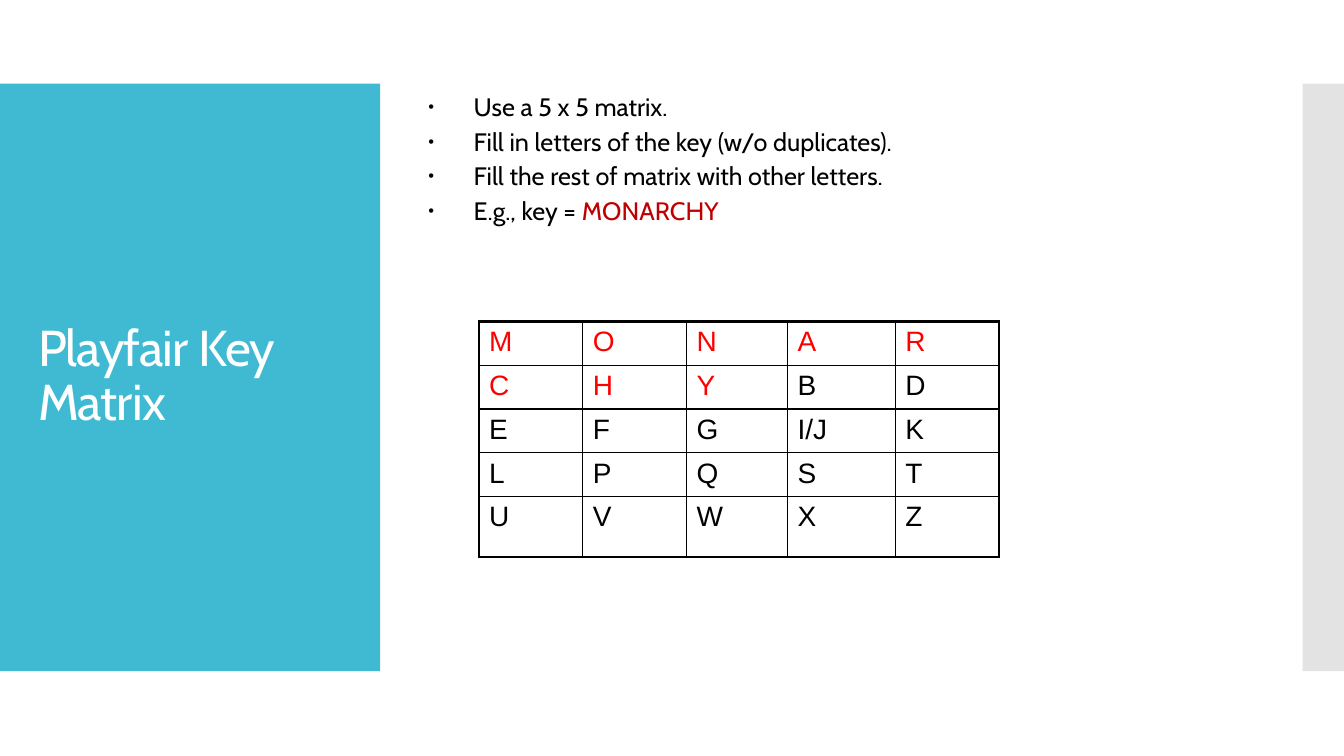
from lxml import etree
from pptx import Presentation
from pptx.dml.color import RGBColor
from pptx.enum import shapes, text
from pptx.oxml import ns
from pptx.util import Inches, Pt

BLACK = RGBColor(0x00, 0x00, 0x00)
WHITE = RGBColor(0xFF, 0xFF, 0xFF)
TEAL = RGBColor(0x40, 0xBA, 0xD2)
PALE_GREY = RGBColor(0xE3, 0xE3, 0xE3)
KEY_RED = RGBColor(0xC0, 0x00, 0x00)
LETTER_RED = RGBColor(0xFF, 0x00, 0x00)

KEY = "MONARCHY"
STEPS = [
    [("Use a 5 x 5 matrix.", BLACK)],
    [("Fill in letters of the key (w/o duplicates).", BLACK)],
    [("Fill the rest of matrix with other letters.", BLACK)],
    [("E.g., key = ", BLACK), (KEY, KEY_RED)],
]
MATRIX = ["M O N A R", "C H Y B D", "E F G I/J K", "L P Q S T", "U V W X Z"]
COLUMN_WIDTHS = [1.03, 1.03, 1, 1.07, 1.03]
ROW_HEIGHTS = [0.43, 0.43, 0.43, 0.43, 0.6]
THIN, THICK = 1, 2.25


def add_child(parent, tag, **attributes):
    return etree.SubElement(parent, ns.qn(tag), attributes)


def add_run(paragraph, words, **font_values):
    run = paragraph.add_run()
    run.text = words
    color = font_values.pop("color")
    for name, value in font_values.items():
        setattr(run.font, name, value)
    run.font.color.rgb = color
    return run


def add_band(slide, box, color):
    band = slide.shapes.add_shape(shapes.MSO_SHAPE.RECTANGLE, *map(Inches, box))
    band.shadow.inherit = False
    band.fill.solid()
    band.fill.fore_color.rgb = color
    band.line.fill.background()


def add_title_panel(slide, box):
    left, top, width, height = box
    add_band(slide, box, TEAL)
    title = slide.shapes.add_textbox(
        Inches(left + 0.28), Inches(top + 0.4),
        Inches(width - 0.55), Inches(height - 0.8)).text_frame
    title.word_wrap = True
    title.vertical_anchor = text.MSO_ANCHOR.MIDDLE
    heading = title.paragraphs[0]
    heading.line_spacing = 0.9
    run = add_run(heading, "Playfair Key Matrix",
                  name="Cabin", size=Pt(36), color=WHITE)
    run.font._element.set("spc", "-60")


def add_steps(slide, box):
    frame = slide.shapes.add_textbox(*map(Inches, box)).text_frame
    frame.word_wrap = True
    for index, pieces in enumerate(STEPS):
        step = frame.add_paragraph() if index else frame.paragraphs[0]
        step.space_before = Pt(3.1)
        properties = step._p.get_or_add_pPr()
        properties.set("marL", str(Inches(0.6)))
        properties.set("indent", str(Inches(-0.45)))
        add_child(properties, "a:buSzPct", val="65000")
        add_child(properties, "a:buFont", typeface="Arial")
        add_child(properties, "a:buChar", char="•")
        for words, color in pieces:
            add_run(step, words, name="Cabin", size=Pt(18), color=color)


def set_borders(cell, widths):
    """Draw black borders; widths maps a side (L, R, T, B) to points."""
    properties = cell._tc.get_or_add_tcPr()
    for side, width in widths.items():
        line = add_child(properties, f"a:ln{side}", w=str(Pt(width)))
        fill = add_child(line, "a:solidFill")
        add_child(fill, "a:srgbClr", val=str(BLACK))


def add_key_matrix(slide, box):
    last = len(MATRIX) - 1
    matrix = slide.shapes.add_table(
        len(MATRIX), len(COLUMN_WIDTHS), *map(Inches, box)).table
    matrix.first_row = matrix.horz_banding = False
    for column, width in zip(matrix.columns, COLUMN_WIDTHS):
        column.width = Inches(width)
    for row, height in zip(matrix.rows, ROW_HEIGHTS):
        row.height = Inches(height)
    for r, letters in enumerate(MATRIX):
        for c, letter in enumerate(letters.split()):
            cell = matrix.cell(r, c)
            outer = {"L": c == 0, "R": c == last, "T": r == 0, "B": r == last}
            set_borders(cell, {side: THICK if edge else THIN
                               for side, edge in outer.items()})
            cell.fill.background()
            add_run(cell.text_frame.paragraphs[0], letter, name="Arial",
                    size=Pt(20), color=LETTER_RED if letter in KEY else BLACK)


def main():
    deck = Presentation()
    deck.slide_width, deck.slide_height = Inches(13.33), Inches(7.5)
    slide = deck.slides.add_slide(deck.slide_layouts[6])
    add_title_panel(slide, (0, 0.83, 3.77, 5.83))
    add_band(slide, (12.92, 0.83, 0.41, 5.83), PALE_GREY)
    add_steps(slide, (4, 0.86, 6.67, 1.49))
    add_key_matrix(slide, (4.75, 3.19, sum(COLUMN_WIDTHS), sum(ROW_HEIGHTS)))
    deck.save("out.pptx")


if __name__ == "__main__":
    main()
